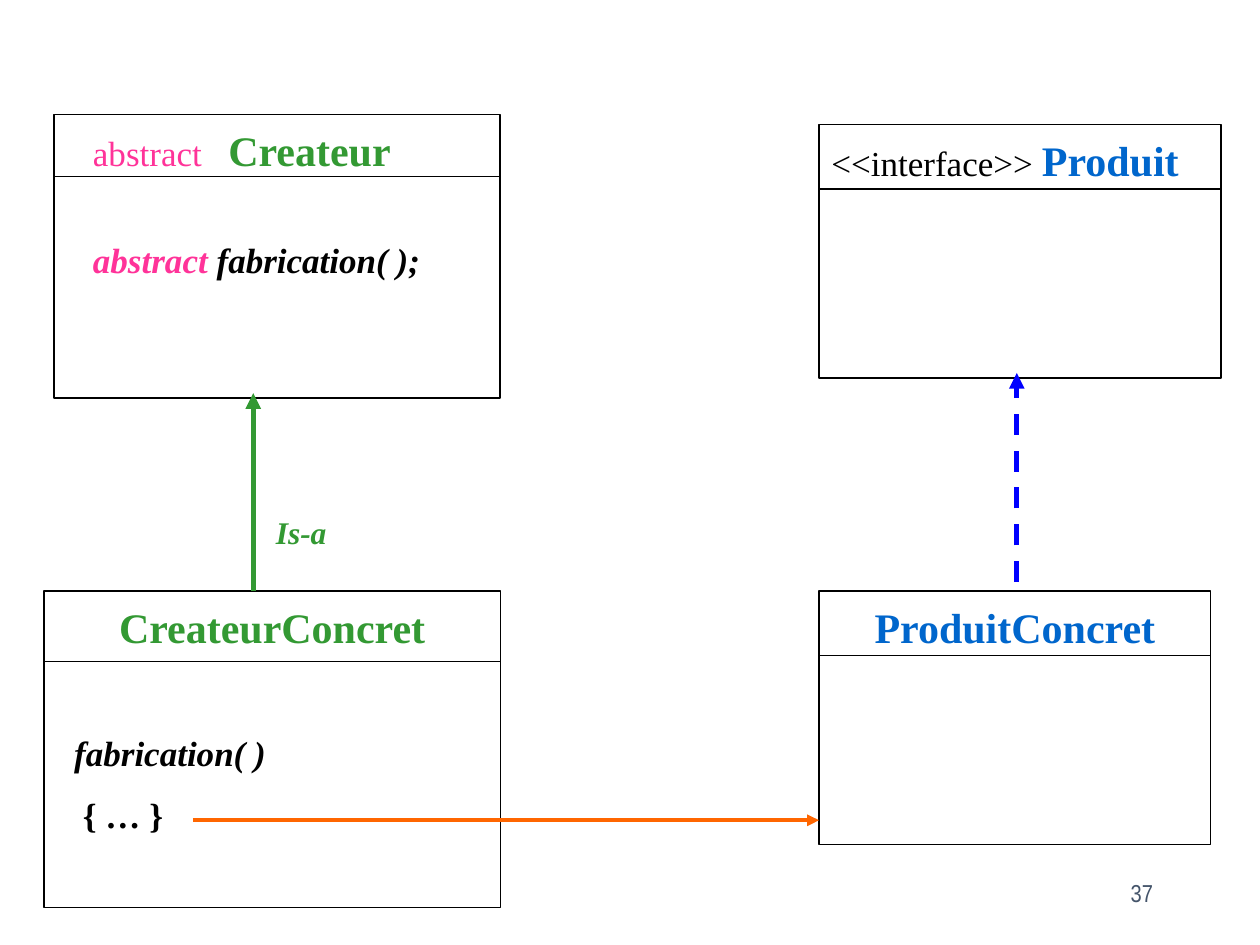
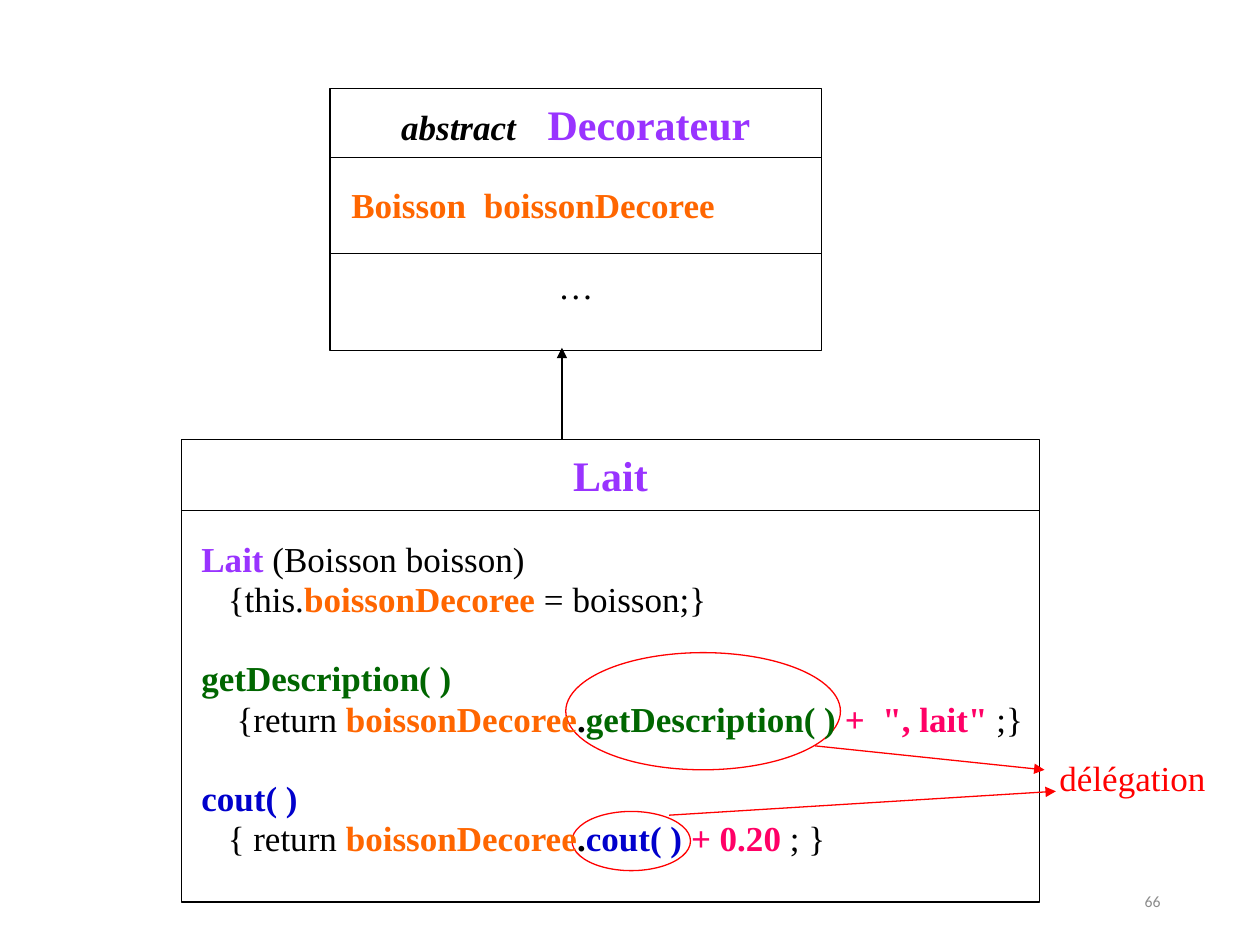
"""Build two class-diagram slides: a factory method and a decorator."""
from lxml.etree import SubElement
from pptx import Presentation
from pptx.dml.color import RGBColor
from pptx.enum.dml import MSO_LINE
from pptx.enum.shapes import MSO_CONNECTOR, MSO_SHAPE
from pptx.enum.text import MSO_ANCHOR, PP_ALIGN
from pptx.oxml.ns import qn
from pptx.util import Inches, Pt

SERIF = "Times New Roman"
BLACK, RED, ORANGE = "000000", "FF0000", "FF6600"
GREEN, BLUE, PINK, VIOLET = "339933", "0066CC", "FF3399", "9933FF"
FOREST, NAVY, ROSE = "006600", "0000CC", "FF0066"
ALIGN = {"l": PP_ALIGN.LEFT, "c": PP_ALIGN.CENTER, "r": PP_ALIGN.RIGHT}


def run(text, color=BLACK, style="", size=20, gap=0, face=SERIF):
    """Describe a run; style holds b and i, gap widens it in points."""
    return dict(text=text, color=color, style=style, size=size, gap=gap, face=face)


def para(*runs, align="l", before=0, indent=0, lead=1.0):
    """Describe a paragraph."""
    return dict(runs=runs, align=align, before=before, indent=indent, lead=lead)


def head(text, color):
    """Describe a class name."""
    return run(text, color, "b", 24)


def code(*runs, before=3.8, indent=0):
    """Describe a line of code."""
    return para(*runs, before=before, indent=indent, lead=0.8)


FIELD = run("boissonDecoree", ORANGE, "b")
DOT = run(".", BLACK, "b")

FACTORY = {
    "page": ("37", (7.17, 6.75, 2.08, 0.5), "44546A", 14, "Arial Narrow", MSO_ANCHOR.BOTTOM),
    "boxes": [
        ((0.43, 0.91, 3.54, 2.25), [0.49], [
            para(run("abstract", PINK), run(" ", gap=10), head("Createur", GREEN), indent=0.21),
            para(run("abstract", PINK, "bi"), run(" fabrication( );", BLACK, "bi"),
                 before=36, indent=0.21)]),
        ((6.5, 0.99, 3.19, 2.01), [0.51], [
            para(run("<<interface>> "), head("Produit", BLUE))]),
        ((0.35, 4.69, 3.62, 2.51), [0.56], [
            para(head("CreateurConcret", GREEN), align="c"),
            para(run("fabrication( )", BLACK, "bi"), before=46, indent=0.14),
            para(run("{ … }", BLACK, "b"), before=11, indent=0.21)]),
        ((6.5, 4.69, 3.11, 2.01), [0.51], [
            para(head("ProduitConcret", BLUE), align="c")]),
    ],
    "ovals": [],
    "arrows": [
        ((2.01, 4.69, 2.01, 3.12), GREEN, 3, False),
        ((8.07, 4.62, 8.07, 2.96), "0000FF", 3, True),
        ((1.53, 6.51, 6.5, 6.51), ORANGE, 2.25, False),
    ],
    "texts": [((2.09, 3.99, 0.71, 0.4), [para(run("Is-a", GREEN, "bi", 18))])],
}

DECOR = {
    "page": ("66", (7.06, 6.95, 2.25, 0.4), "8C8C8C", 9, "Calibri", MSO_ANCHOR.MIDDLE),
    "boxes": [
        ((1.44, 3.49, 6.81, 3.67), [0.56], [para(head("Lait", VIOLET), align="c")]),
        ((2.62, 0.7, 3.9, 2.08), [0.55, 1.31], [
            para(run("abstract", BLACK, "bi"), run(" ", size=24, gap=12),
                 head("Decorateur", VIOLET), align="c"),
            para(run("Boisson", ORANGE, "b"), run(" ", gap=5), FIELD, before=20, indent=0.07),
            para(run("…"), align="c", before=22)]),
    ],
    "ovals": [(4.49, 5.18, 2.18, 0.93), (4.54, 6.44, 0.94, 0.47)],
    "arrows": [
        ((4.46, 3.49, 4.46, 2.76), BLACK, 0.75, False),
        ((6.47, 5.92, 8.29, 6.11), RED, 0.75, False),
        ((5.31, 6.47, 8.38, 6.28), RED, 0.75, False),
    ],
    "texts": [
        ((8.31, 5.96, 1.69, 0.4), [para(run("délégation", RED), lead=0.9)]),
        ((1.5, 4.25, 6.76, 2.59), [
            code(run("Lait", VIOLET, "b"), run(" (Boisson boisson)"), before=0),
            code(run("{this."), FIELD, run(" = boisson;}"), indent=0.21),
            code(run("getDescription( )", FOREST, "b"), before=26),
            code(run("{return "), FIELD, DOT, run("getDescription( ) ", FOREST, "b"),
                 run("+", ROSE, "b"), run(" ", gap=5), run('", lait"', ROSE, "b"),
                 run(" ;}"), indent=0.28),
            code(run("cout( )", NAVY, "b"), before=26),
            code(run("{ return "), FIELD, DOT, run("cout( ) ", NAVY, "b"),
                 run("+ 0.20", ROSE, "b"), run(" ; }"), indent=0.21)]),
    ],
}


def paint(color):
    """Turn a hex string into a colour."""
    return RGBColor.from_string(color)


def write(shape, paras, anchor=MSO_ANCHOR.TOP, top=0.08):
    """Fill a shape with paragraphs."""
    frame = shape.text_frame
    frame.word_wrap = True
    frame.vertical_anchor = anchor
    frame.margin_top = Inches(top)
    for i, item in enumerate(paras):
        line = frame.add_paragraph() if i else frame.paragraphs[0]
        line.alignment = ALIGN[item["align"]]
        line.line_spacing = item["lead"]
        line.space_before = Pt(item["before"])
        if item["indent"]:
            line._p.get_or_add_pPr().set("marL", str(Inches(item["indent"])))
        for part in item["runs"]:
            piece = line.add_run()
            piece.text = part["text"]
            font = piece.font
            font.name, font.size = part["face"], Pt(part["size"])
            font.bold, font.italic = "b" in part["style"], "i" in part["style"]
            font.color.rgb = paint(part["color"])
            if part["gap"]:
                piece._r.get_or_add_rPr().set("spc", str(part["gap"] * 100))


def label(slide, place, paras, **opts):
    """Add a text box."""
    write(slide.shapes.add_textbox(*map(Inches, place)), paras, **opts)


def frame(slide, kind, place, color, fill=None):
    """Add an outlined shape."""
    shape = slide.shapes.add_shape(kind, *map(Inches, place))
    shape.shadow.inherit = False
    if fill:
        shape.fill.solid()
        shape.fill.fore_color.rgb = paint(fill)
    else:
        shape.fill.background()
    shape.line.color.rgb = paint(color)
    shape.line.width = Pt(0.75)
    return shape


def rule(slide, ends, color=BLACK, width=0.75, dash=False, tip=False):
    """Add a straight line, with an arrowhead at its end if tip is set."""
    link = slide.shapes.add_connector(MSO_CONNECTOR.STRAIGHT, *map(Inches, ends))
    link.line.color.rgb = paint(color)
    link.line.width = Pt(width)
    if dash:
        link.line.dash_style = MSO_LINE.DASH
    if tip:
        SubElement(link.line._get_or_add_ln(), qn("a:tailEnd"), type="triangle")
    SubElement(link._element.spPr, qn("a:effectLst"))


def build(deck, data, fill=None):
    """Draw one diagram on a new slide."""
    slide = deck.slides.add_slide(deck.slide_layouts[6])
    num, place, color, size, face, anchor = data["page"]
    label(slide, place, [para(run(num, color, size=size, face=face), align="r")],
          anchor=anchor, top=0.05)
    for place, cuts, paras in data["boxes"]:
        box = frame(slide, MSO_SHAPE.RECTANGLE, place, BLACK, fill)
        write(box, paras)
        left, top, wide, _ = place
        for cut in cuts:
            rule(slide, (left, top + cut, left + wide, top + cut))
    for place in data["ovals"]:
        frame(slide, MSO_SHAPE.OVAL, place, RED)
    for ends, color, width, dash in data["arrows"]:
        rule(slide, ends, color, width, dash, tip=True)
    for place, paras in data["texts"]:
        label(slide, place, paras)


def main():
    """Build and save the deck."""
    deck = Presentation()
    deck.slide_width, deck.slide_height = Inches(10), Inches(7.5)
    build(deck, FACTORY)
    build(deck, DECOR, fill="FFFFFF")
    deck.save("out.pptx")


if __name__ == "__main__":
    main()
